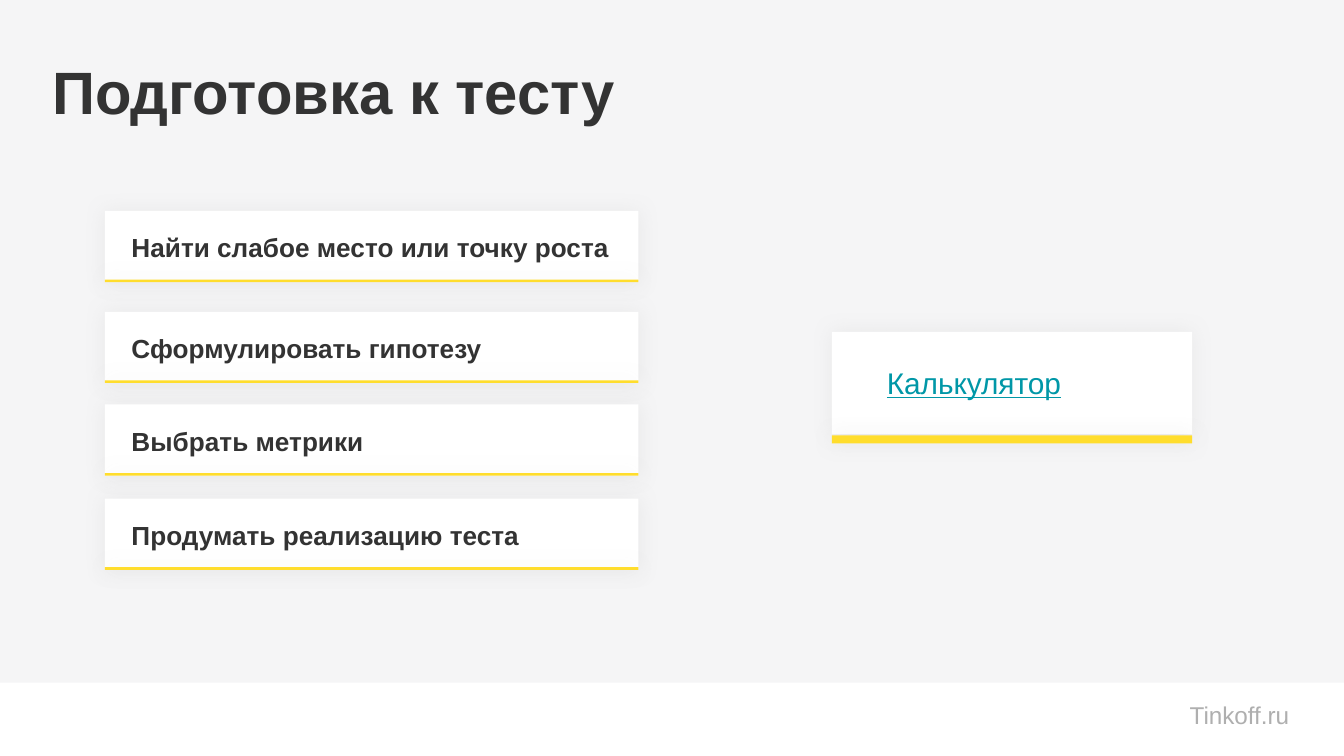
from dataclasses import dataclass

from lxml.etree import SubElement
from pptx import Presentation
from pptx.dml.color import RGBColor
from pptx.enum.shapes import MSO_SHAPE
from pptx.enum.text import MSO_ANCHOR, PP_ALIGN
from pptx.oxml.ns import qn
from pptx.util import Inches, Pt


@dataclass(frozen=True)
class Theme:
    font: str = "Arial"
    panel: str = "F5F5F6"
    card: str = "FFFFFF"
    accent: str = "FFDD2D"
    shadow: str = "B7B7B7"
    ink: str = "333333"
    link: str = "0097A7"
    muted: str = "AFAFAF"
    title_size: int = 32
    link_size: int = 16
    step_size: int = 14
    footer_size: int = 13


class SlideBuilder:
    def __init__(self, slide, theme):
        self.slide = slide
        self.theme = theme

    def rectangle(self, left, top, width, height, color, shadow=True, shapes=None):
        shapes = shapes or self.slide.shapes
        shape = shapes.add_shape(
            MSO_SHAPE.RECTANGLE, Inches(left), Inches(top), Inches(width), Inches(height)
        )
        shape.fill.solid()
        shape.fill.fore_color.rgb = RGBColor.from_string(color)
        shape.line.fill.background()
        shape.shadow.inherit = False
        if shadow:
            self.soft_shadow(shape)

    def soft_shadow(self, shape):
        effects = shape.element.spPr.find(qn("a:effectLst"))
        outer = SubElement(
            effects, qn("a:outerShdw"), blurRad=str(Pt(11.2)), dist="0", dir="0",
            algn="ctr", rotWithShape="0",
        )
        color = SubElement(outer, qn("a:srgbClr"), val=self.theme.shadow)
        SubElement(color, qn("a:alpha"), val="20000")

    def text(self, left, top, width, height, content, size, color, bold=False,
             underline=False, spacing=1.0, align=PP_ALIGN.LEFT, shapes=None):
        shapes = shapes or self.slide.shapes
        box = shapes.add_textbox(Inches(left), Inches(top), Inches(width), Inches(height))
        frame = box.text_frame
        frame.word_wrap = True
        frame.vertical_anchor = MSO_ANCHOR.TOP
        frame.margin_left = frame.margin_right = Inches(0.1)
        frame.margin_top = frame.margin_bottom = Inches(0.1)
        frame.text = content
        paragraph = frame.paragraphs[0]
        paragraph.alignment = align
        paragraph.line_spacing = spacing
        font = paragraph.runs[0].font
        font.name = self.theme.font
        font.size = Pt(size)
        font.bold = bold
        font.underline = underline
        font.color.rgb = RGBColor.from_string(color)

    def step_card(self, left, top, content):
        theme = self.theme
        shapes = self.slide.shapes.add_group_shape().shapes
        self.rectangle(left, top, 3.97, 0.53, theme.card, shapes=shapes)
        self.text(left + 0.1, top + 0.02, 3.79, 0.49, content, theme.step_size,
                  theme.ink, bold=True, spacing=1.15, shapes=shapes)
        self.rectangle(left, top + 0.51, 3.97, 0.02, theme.accent, shapes=shapes)

    def link_card(self, left, top, content):
        theme = self.theme
        self.rectangle(left, top, 2.68, 0.76, theme.card)
        self.text(left + 0.31, top + 0.14, 2.22, 0.49, content, theme.link_size,
                  theme.link, underline=True)
        self.rectangle(left, top + 0.77, 2.68, 0.06, theme.accent)


def main():
    presentation = Presentation()
    presentation.slide_width = Inches(10)
    presentation.slide_height = Inches(10 * 9 / 16)
    slide = presentation.slides.add_slide(presentation.slide_layouts[6])
    theme = Theme()
    builder = SlideBuilder(slide, theme)

    builder.text(8.51, 5.08, 1.18, 0.41, "Tinkoff.ru", theme.footer_size, theme.muted,
                 spacing=1.15, align=PP_ALIGN.RIGHT)
    builder.rectangle(0, 0, 10, 5.08, theme.panel, shadow=False)
    builder.text(0.29, 0.31, 9.11, 0.84, "Подготовка к тесту", theme.title_size,
                 theme.ink, bold=True)

    steps = [
        (1.57, "Найти слабое место или точку роста"),
        (2.32, "Сформулировать гипотезу"),
        (3.01, "Выбрать метрики"),
        (3.71, "Продумать реализацию теста"),
    ]
    for top, content in steps:
        builder.step_card(0.78, top, content)

    builder.link_card(6.19, 2.47, "Калькулятор")
    presentation.save("out.pptx")


if __name__ == "__main__":
    main()
